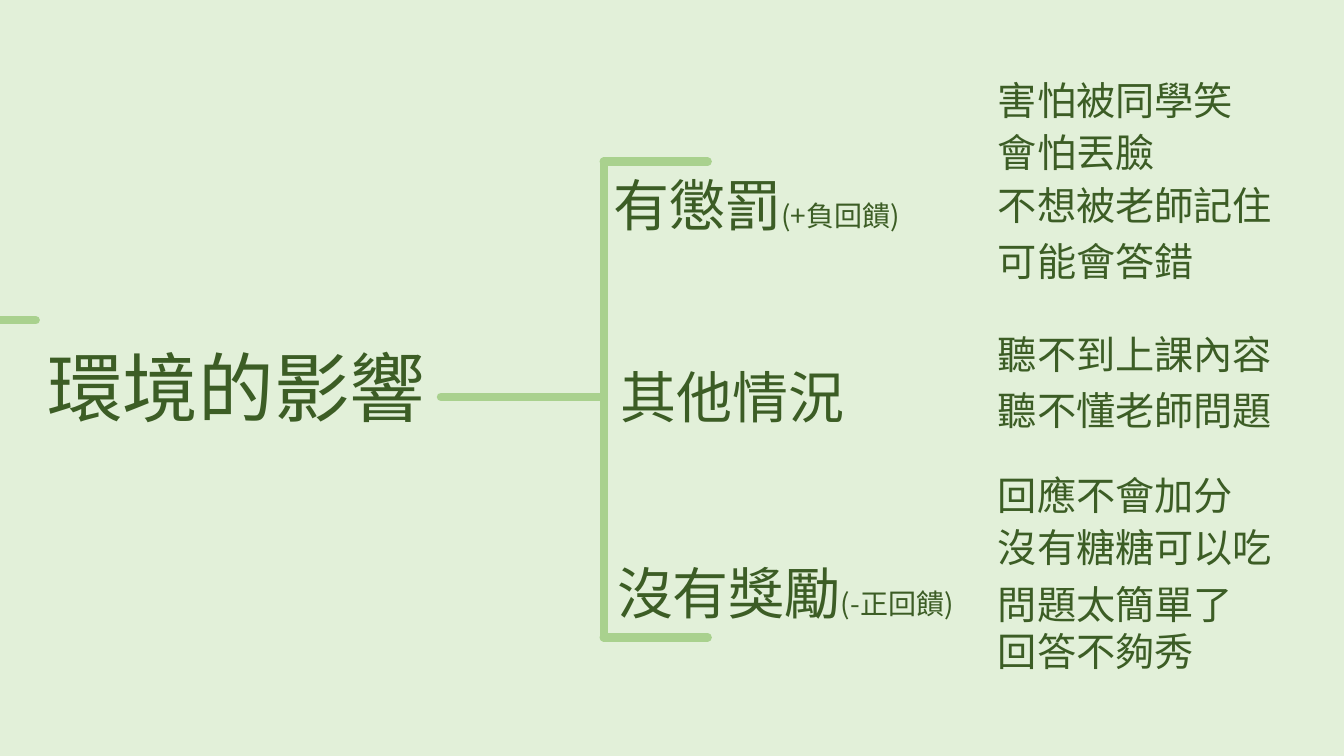
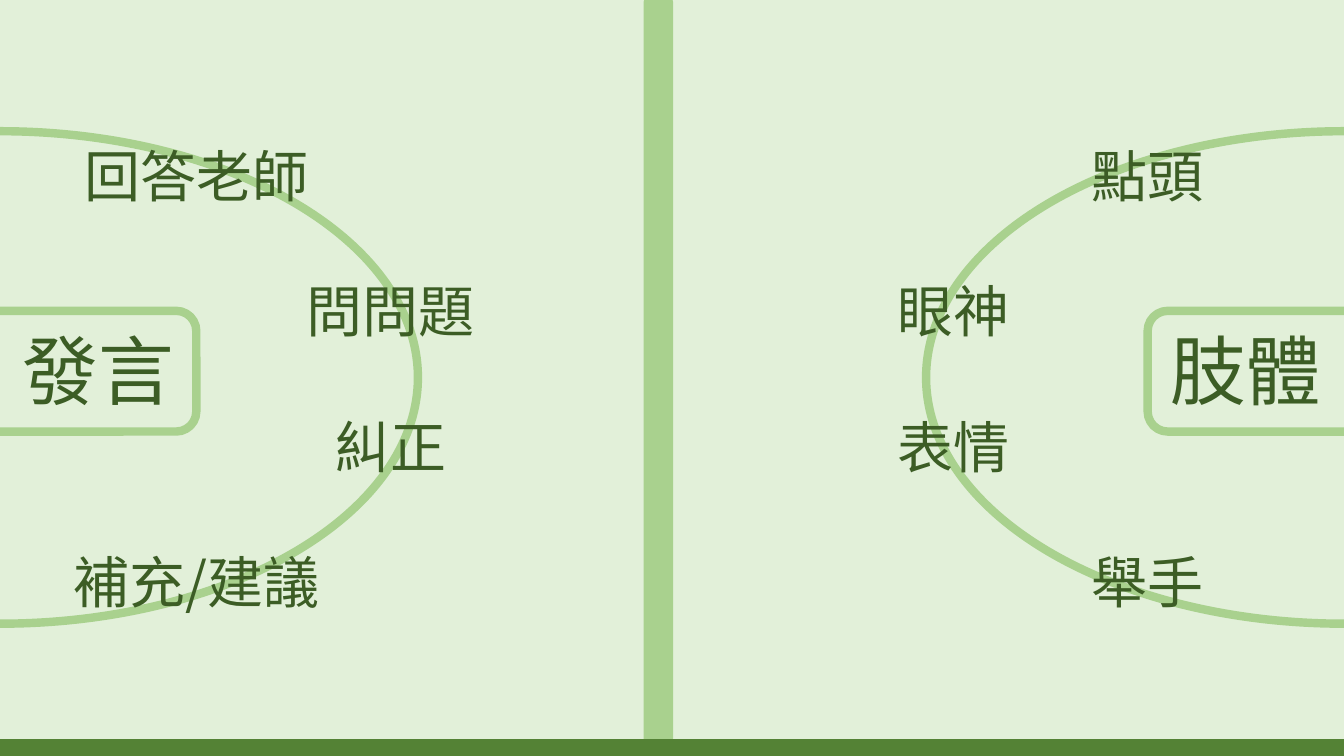
from lxml.etree import SubElement
from pptx import Presentation
from pptx.dml.color import RGBColor
from pptx.enum.shapes import MSO_CONNECTOR, MSO_SHAPE
from pptx.enum.text import MSO_ANCHOR, MSO_AUTO_SIZE, PP_ALIGN
from pptx.oxml.ns import qn
from pptx.util import Emu, Pt

PX = 9525
WIDTH, HEIGHT = 1280, 720
PALE = RGBColor(0xE2, 0xF0, 0xD9)
LIGHT = RGBColor(0xA9, 0xD1, 0x8E)
GREEN = RGBColor(0x54, 0x82, 0x35)
INK = RGBColor(0x3C, 0x5D, 0x25)
FONT = "Noto Sans CJK JP"
STROKE = 6
HEADING, TOPIC, DETAIL, NOTE = 54, 40, 28, 20
FRAME = dict(word_wrap=True, auto_size=MSO_AUTO_SIZE.NONE,
             vertical_anchor=MSO_ANCHOR.TOP)


def px(*values):
    return [Emu(v * PX) for v in values]


def set_attrs(obj, values):
    for name, value in values.items():
        setattr(obj, name, value)


def write(tf, runs, align=PP_ALIGN.CENTER):
    """Fill the frame with one paragraph of (text, size) runs."""
    set_attrs(tf, FRAME)
    p = tf.paragraphs[0]
    p.alignment = align
    for text, size in runs:
        r = p.add_run()
        r.text = text
        set_attrs(r.font, dict(name=FONT, size=Pt(size), bold=False))
        r.font.color.rgb = INK
        SubElement(r.font._element, qn("a:ea"), typeface=FONT)


def add_text(slide, box, runs, align=PP_ALIGN.CENTER):
    write(slide.shapes.add_textbox(*px(*box)).text_frame, runs, align)


def add_line(slide, *ends):
    """Draw a round-capped line from x1, y1 to x2, y2."""
    line = slide.shapes.add_connector(MSO_CONNECTOR.STRAIGHT, *px(*ends))
    line.line.color.rgb = LIGHT
    line.line.width = Pt(STROKE)
    line.line._get_or_add_ln().set("cap", "rnd")
    SubElement(line._element.spPr, qn("a:effectLst"))


def add_shape(slide, kind, box, fill=None, outline=None):
    sp = slide.shapes.add_shape(kind, *px(*box))
    sp.shadow.inherit = False
    for part, color in ((sp.fill, fill), (sp.line.fill, outline)):
        if color is None:
            part.background()
        else:
            part.solid()
            part.fore_color.rgb = color
    if outline is not None:
        sp.line.width = Pt(STROKE)


def add_title(slide, box, text):
    title = slide.shapes.title
    set_attrs(title, dict(zip(("left", "top", "width", "height"), px(*box))))
    write(title.text_frame, [(text, HEADING)])


def add_bracket(slide, x, y, w, h, middle, stem):
    """Draw a left bracket in the box, with a stem joining it at middle."""
    add_line(slide, x - stem, middle, x, middle)
    add_line(slide, x, y, x, y + h)
    for arm in (y, y + h):
        add_line(slide, x, arm, x + w, arm)


def add_details(slide, x, w, rows):
    for y, text in rows:
        add_text(slide, (x, y, w, 55), [(text, DETAIL)], PP_ALIGN.LEFT)


def causes_slide(prs):
    slide = prs.slides.add_slide(prs.slide_layouts[5])
    add_line(slide, -65, 305, 34, 305)
    add_title(slide, (-23, 320, 496, 97), "環境的影響")
    add_bracket(slide, 575, 154, 99, 453, middle=378, stem=155)
    topics = [
        (158, 293, [("有懲罰", TOPIC), ("(+負回饋)", NOTE)]),
        (341, 248, [("其他情況", TOPIC)]),
        (527, 348, [("沒有獎勵", TOPIC), ("(-正回饋)", NOTE)]),
    ]
    for y, w, runs in topics:
        add_text(slide, (574, y, w, 74), runs)
    add_details(slide, 941, 372, [
        (68, "害怕被同學笑"), (117, "會怕丟臉"),
        (168, "不想被老師記住"), (221, "可能會答錯"),
        (310, "聽不到上課內容"), (363, "聽不懂老師問題"),
        (444, "回應不會加分"), (494, "沒有糖糖可以吃"),
    ])
    add_details(slide, 941, 276, [(548, "問題太簡單了回答不夠秀")])


def add_half(slide, heading, words, mirrored):
    """Place a heading and the words around its arc, at one slide edge."""
    def place(x, y, w, h):
        return (WIDTH - x - w if mirrored else x), y, w, h

    add_shape(slide, MSO_SHAPE.OVAL, place(-398, 125, 796, 469), outline=LIGHT)
    add_shape(slide, MSO_SHAPE.ROUNDED_RECTANGLE, place(-82, 296, 269, 115),
              PALE, LIGHT)
    add_text(slide, place(0, 304, 187, 97), [(heading, HEADING)])
    columns = ((61, 252), (246, 252), (246, 252), (43, 288))
    for i, ((x, w), word) in enumerate(zip(columns, words)):
        add_text(slide, place(x, 130 + 129 * i, w, 74), [(word, TOPIC)])


def responses_slide(prs):
    slide = prs.slides.add_slide(prs.slide_layouts[6])
    add_half(slide, "發言", ("回答老師", "問問題", "糾正", "補充/建議"), False)
    add_half(slide, "肢體", ("點頭", "眼神", "表情", "舉手"), True)
    add_shape(slide, MSO_SHAPE.ROUNDED_RECTANGLE, (613, -3, 28, 711), LIGHT)
    add_shape(slide, MSO_SHAPE.RECTANGLE, (0, 704, WIDTH, HEIGHT - 704), GREEN)


def main():
    prs = Presentation()
    prs.slide_width, prs.slide_height = px(WIDTH, HEIGHT)
    fill = prs.slide_master.background.fill
    fill.solid()
    fill.fore_color.rgb = PALE
    causes_slide(prs)
    responses_slide(prs)
    prs.save("out.pptx")


if __name__ == "__main__":
    main()
